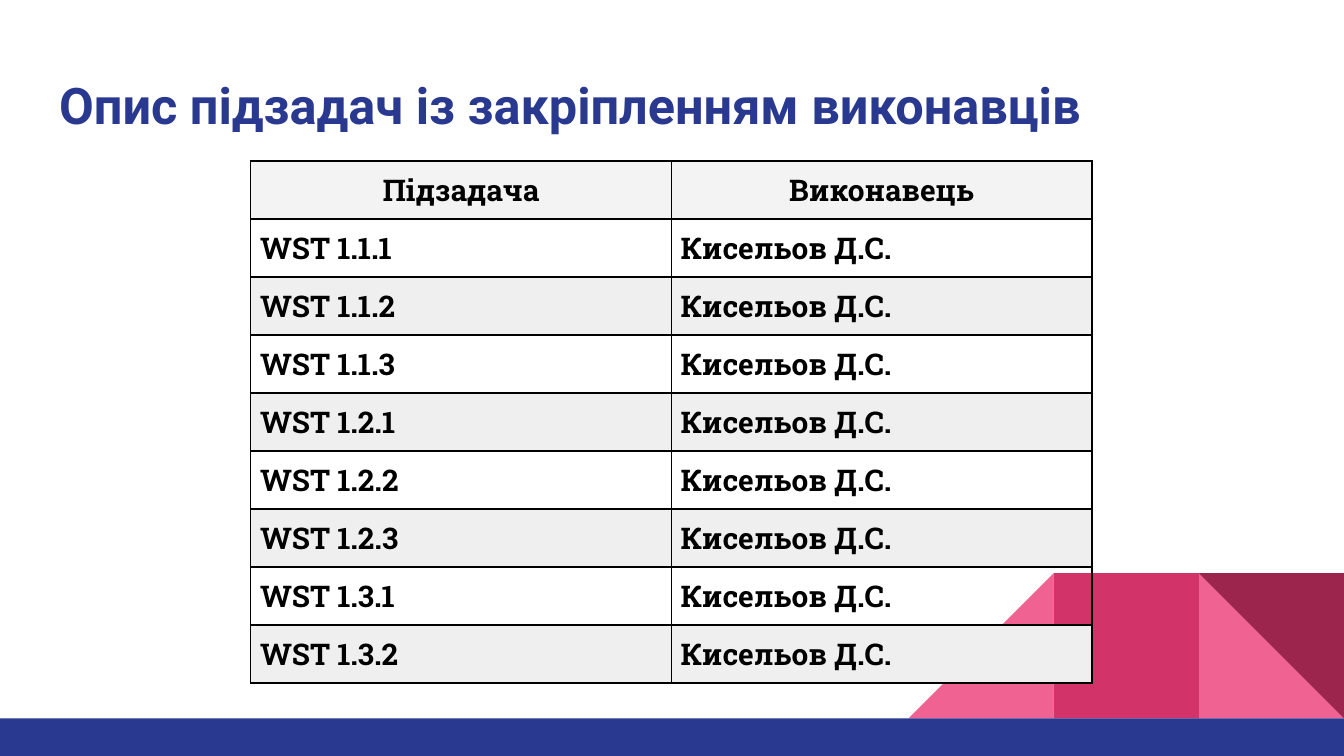
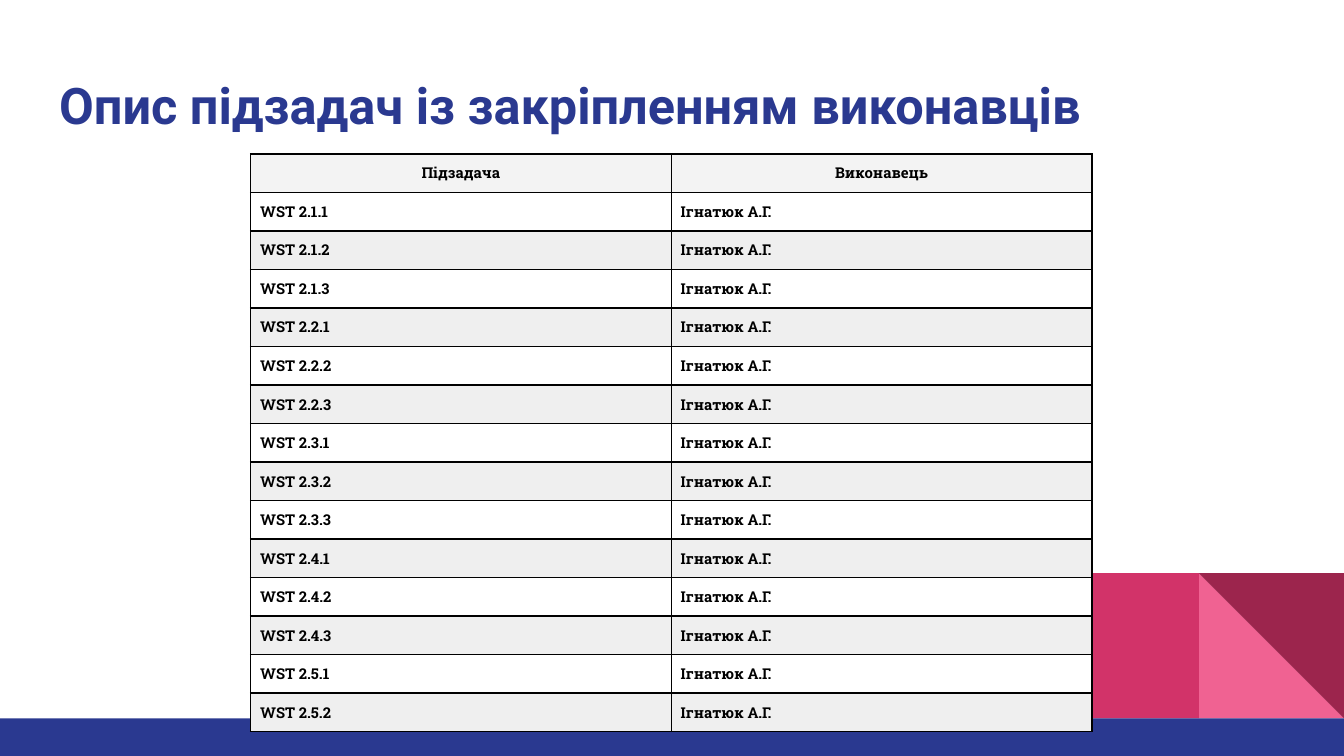
from dataclasses import dataclass

from lxml import etree
from pptx import Presentation
from pptx.dml.color import RGBColor
from pptx.enum.shapes import MSO_SHAPE
from pptx.enum.text import MSO_ANCHOR, MSO_AUTO_SIZE, PP_ALIGN
from pptx.oxml.ns import qn
from pptx.util import Emu, Pt

RECT = MSO_SHAPE.RECTANGLE
TRIANGLE = MSO_SHAPE.RIGHT_TRIANGLE
LEFT, CENTER = PP_ALIGN.LEFT, PP_ALIGN.CENTER
MIDDLE, TOP = MSO_ANCHOR.MIDDLE, MSO_ANCHOR.TOP
NO_AUTOFIT = MSO_AUTO_SIZE.NONE

# Shared look: 200 px to the inch
SCALE = 4572
SLIDE_W, SLIDE_H = 2000, 1125
BLUE, PINK, RED, WINE = "2A3990", "F06292", "D23369", "9C254D"
BLACK, WHITE, HEADER_GREY, STRIPE_GREY = "000000", "FFFFFF", "F3F3F3", "EFEFEF"
TITLE_FONT, TABLE_FONT = "Roboto", "Roboto Slab"
TITLE = "Опис підзадач із закріпленням виконавців"
HEADERS = ("Підзадача", "Виконавець")
BAND_Y, TILE = 1069, 216
TILE_Y = BAND_Y - TILE
TABLE_X, COL_W, CELL_MARGIN = 373, 626, 14
NO_STYLE = "{2D5ABB26-0587-4C30-8999-92F81FD0307C}"


@dataclass(frozen=True)
class Decor:
    kind: MSO_SHAPE
    x: int
    y: int
    w: int
    h: int
    color: str
    rotation: int = 0
    flip: bool = False


@dataclass(frozen=True)
class TaskTable:
    performer: str
    stage: int
    counts: tuple[int, ...]  # subtasks in each group
    y: int
    row_h: int
    size: int
    plain_fill: str | None = None

    def rows(self) -> list[tuple[str, str]]:
        return [HEADERS] + [
            (f"WST {self.stage}.{group}.{n}", self.performer)
            for group, count in enumerate(self.counts, 1)
            for n in range(1, count + 1)
        ]


def tile(kind: MSO_SHAPE, from_right: int, color: str,
         rotation: int = 0, flip: bool = False) -> Decor:
    return Decor(kind, SLIDE_W - from_right * TILE, TILE_Y, TILE, TILE,
                 color, rotation, flip)


DECOR = (
    tile(TRIANGLE, 1, PINK),
    tile(TRIANGLE, 3, PINK, flip=True),
    tile(RECT, 2, RED),
    tile(TRIANGLE, 1, WINE, rotation=180),
    Decor(RECT, 0, BAND_Y, SLIDE_W, SLIDE_H - BAND_Y, BLUE),
)

TABLES = (
    TaskTable("Кисельов Д.С.", 1, (3, 3, 2), 240, 86, 16),
    TaskTable("Ігнатюк А.Г.", 2, (3, 3, 3, 3, 2), 229, 57, 8, WHITE),
)


def px(n: int) -> Emu:
    return Emu(n * SCALE)


def rgb(color: str) -> RGBColor:
    return RGBColor.from_string(color)


def add_run(p, text: str, font: str, size: int, color: str) -> None:
    r = p.add_run()
    r.text = text
    r.font.name = font
    r.font.size = Pt(size)
    r.font.bold = True
    r.font.color.rgb = rgb(color)


def add_decor(s, d: Decor) -> None:
    sp = s.shapes.add_shape(d.kind, px(d.x), px(d.y), px(d.w), px(d.h))
    sp.shadow.inherit = False
    sp.fill.solid()
    sp.fill.fore_color.rgb = rgb(d.color)
    sp.line.fill.background()
    sp.rotation = d.rotation
    if d.flip:
        sp.element.spPr.find(qn("a:xfrm")).set("flipH", "1")


def add_title(s, text: str) -> None:
    sp = s.shapes.title
    s.shapes.element.append(sp.element)  # in front of the decoration
    sp.left, sp.top, sp.width, sp.height = px(68), px(90), px(1864), px(132)
    tf = sp.text_frame
    tf.word_wrap = True
    tf.auto_size = NO_AUTOFIT
    tf.vertical_anchor = MIDDLE
    tf.margin_left = tf.margin_right = tf.margin_top = tf.margin_bottom = px(20)
    p = tf.paragraphs[0]
    p.alignment = LEFT
    add_run(p, text, TITLE_FONT, 27, BLUE)


def add_borders(cell, color: str, width: int) -> None:
    tc_pr = cell._tc.get_or_add_tcPr()
    for i, side in enumerate(("lnL", "lnR", "lnT", "lnB")):
        ln = etree.Element(qn(f"a:{side}"), w=str(Pt(width)))
        fill = etree.SubElement(ln, qn("a:solidFill"))
        etree.SubElement(fill, qn("a:srgbClr"), val=color)
        tc_pr.insert(i, ln)


def fill_cell(cell, text: str, size: int, align: PP_ALIGN, fill: str | None) -> None:
    cell.margin_left = cell.margin_right = px(CELL_MARGIN)
    cell.margin_top = cell.margin_bottom = px(CELL_MARGIN)
    cell.vertical_anchor = TOP
    if fill:
        cell.fill.solid()
        cell.fill.fore_color.rgb = rgb(fill)
    else:
        cell.fill.background()
    add_borders(cell, BLACK, 1)
    p = cell.text_frame.paragraphs[0]
    p.alignment = align
    add_run(p, text, TABLE_FONT, size, BLACK)


def add_task_table(s, t: TaskTable) -> None:
    rows = t.rows()
    frame = s.shapes.add_table(len(rows), len(HEADERS), px(TABLE_X), px(t.y),
                               px(COL_W * len(HEADERS)), px(t.row_h * len(rows)))
    table = frame.table
    table.first_row = table.horz_banding = False
    frame.element.find(f".//{qn('a:tableStyleId')}").text = NO_STYLE
    for col in table.columns:
        col.width = px(COL_W)
    for i, row in enumerate(rows):
        table.rows[i].height = px(t.row_h)
        align = LEFT if i else CENTER
        if i == 0:
            fill = HEADER_GREY
        else:
            fill = t.plain_fill if i % 2 else STRIPE_GREY
        for j, text in enumerate(row):
            fill_cell(table.cell(i, j), text, t.size, align, fill)


def main() -> None:
    prs = Presentation()
    prs.slide_width, prs.slide_height = px(SLIDE_W), px(SLIDE_H)
    title_only = prs.slide_layouts[5]
    for t in TABLES:
        s = prs.slides.add_slide(title_only)
        for d in DECOR:
            add_decor(s, d)
        add_title(s, TITLE)
        add_task_table(s, t)
    prs.save("out.pptx")


if __name__ == "__main__":
    main()
